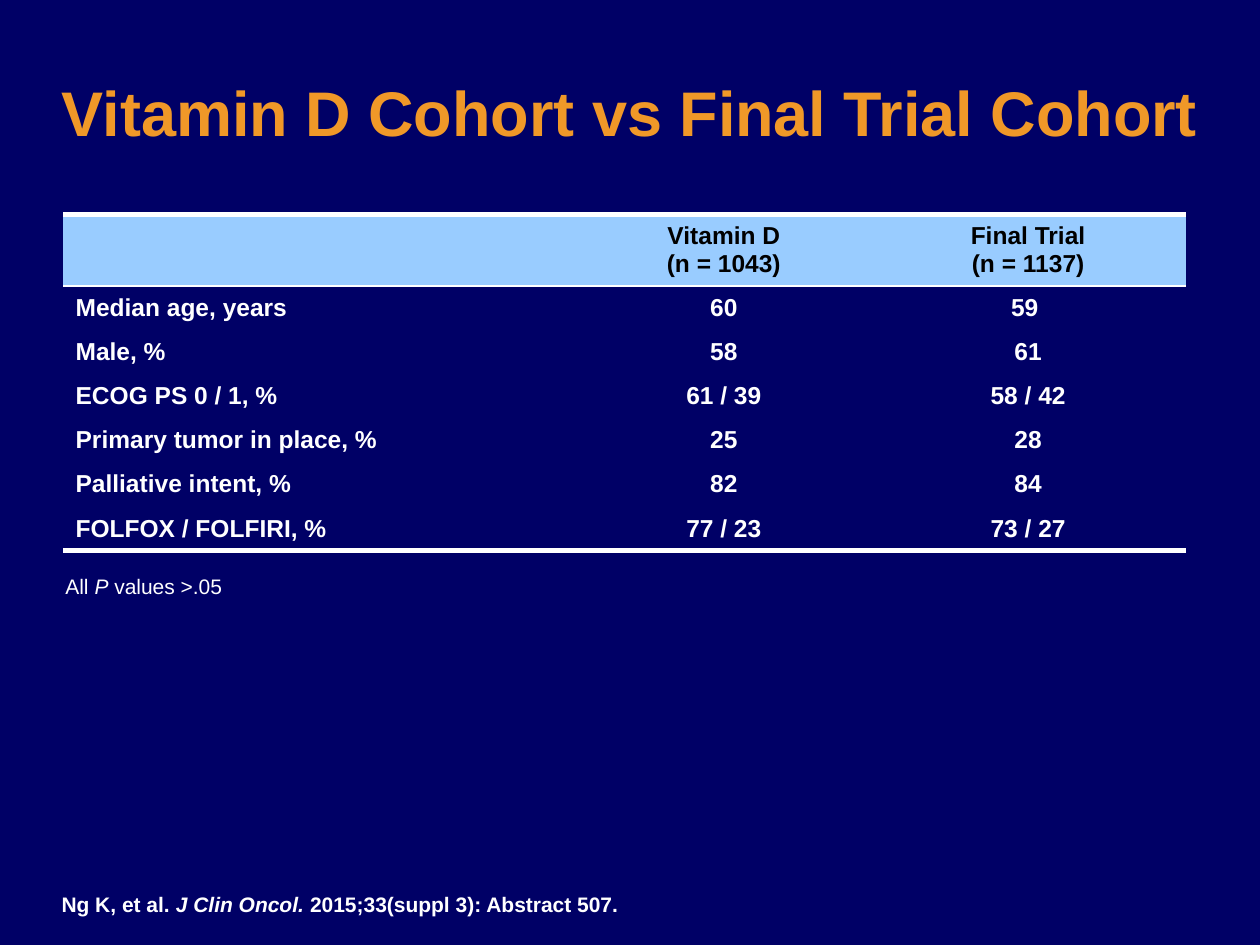
"""Build a slide comparing the vitamin D cohort with the final trial cohort."""
import pptx
import pptx.util
import pptx.dml.color
import pptx.enum.text
import pptx.oxml
import pptx.oxml.ns
import lxml.etree

Inches = pptx.util.Inches
ALIGN = pptx.enum.text.PP_ALIGN
MIDDLE = pptx.enum.text.MSO_ANCHOR.MIDDLE

COLORS = {"navy": "000066", "orange": "F09828", "sky": "99CCFF",
          "white": "FFFFFF", "black": "000000"}
TITLE = "Vitamin D Cohort vs Final Trial Cohort"
ROWS = [
    ["", "Vitamin D\n(n = 1043)", "Final Trial\n(n = 1137)"],
    ["Median age, years", "60", "59 "],
    ["Male, %", "58", "61"],
    ["ECOG PS 0 / 1, %", "61 / 39", "58 / 42"],
    ["Primary tumor in place, %", "25", "28"],
    ["Palliative intent, %", "82", "84"],
    ["FOLFOX / FOLFIRI, %", "77 / 23", "73 / 27"],
]
COLUMN_WIDTHS = [4.08, 2.33, 2.5]
HEADER_HEIGHT, BODY_HEIGHT = 0.57, 0.35
NOTES = [
    ((0.42, 4.5, 2.42, 0.3), False,
     [("All ", False), ("P", True), (" values >.05", False)]),
    ((0.39, 7.03, 5.33, 0.3), True,
     [("Ng K, et al. ", False), ("J Clin Oncol. ", True),
      ("2015;33(suppl 3): Abstract 507.", False)]),
]


def rgb(name):
    return pptx.dml.color.RGBColor.from_string(COLORS[name])


def write(frame, paragraphs, size=12, color="white", bold=False,
          align=ALIGN.LEFT, spacing=None):
    for index, runs in enumerate(paragraphs):
        paragraph = frame.paragraphs[0] if index == 0 else frame.add_paragraph()
        paragraph.alignment = align
        paragraph.line_spacing = spacing
        for text, italic in runs:
            run = paragraph.add_run()
            run.text = text
            run.font.name = "Arial"
            run.font.size = pptx.util.Pt(size)
            run.font.bold = bold
            run.font.italic = italic
            run.font.color.rgb = rgb(color)


def add_text_shadow(run):
    properties = run.font.fill._xPr
    effects = pptx.oxml.parse_xml(
        f'<a:effectLst {pptx.oxml.ns.nsdecls("a")}>'
        '<a:outerShdw dist="38100" dir="2700000" algn="tl">'
        f'<a:srgbClr val="{COLORS["black"]}"/></a:outerShdw></a:effectLst>')
    properties.find(pptx.oxml.ns.qn("a:solidFill")).addnext(effects)


def set_borders(cell, top, bottom):
    properties = cell._tc.get_or_add_tcPr()
    for side, width in zip("LRTB", (0, 0, top, bottom)):
        line = lxml.etree.SubElement(properties, pptx.oxml.ns.qn(f"a:ln{side}"))
        line.set("w", str(pptx.util.Pt(width)))
        if width:
            fill = lxml.etree.SubElement(line, pptx.oxml.ns.qn("a:solidFill"))
            lxml.etree.SubElement(fill, pptx.oxml.ns.qn("a:srgbClr"), val=COLORS["white"])
        else:
            lxml.etree.SubElement(line, pptx.oxml.ns.qn("a:noFill"))


def add_cohort_table(slide):
    heights = [HEADER_HEIGHT] + [BODY_HEIGHT] * (len(ROWS) - 1)
    cohorts = slide.shapes.add_table(
        len(ROWS), len(COLUMN_WIDTHS), Inches(0.5), Inches(1.7),
        Inches(sum(COLUMN_WIDTHS)), Inches(sum(heights))).table
    cohorts.horz_banding = False
    for column, width in zip(cohorts.columns, COLUMN_WIDTHS):
        column.width = Inches(width)
    rules = [3, 1] + [0] * (len(ROWS) - 2) + [3]
    for r, values in enumerate(ROWS):
        cohorts.rows[r].height = Inches(heights[r])
        for c, value in enumerate(values):
            cell = cohorts.cell(r, c)
            set_borders(cell, rules[r], rules[r + 1])
            cell.vertical_anchor = MIDDLE
            cell.margin_top = cell.margin_bottom = Inches(0.06)
            if r == 0:
                cell.fill.solid()
                cell.fill.fore_color.rgb = rgb("sky")
            else:
                cell.fill.background()
            if value:
                write(cell.text_frame, [[(line, False)] for line in value.split("\n")],
                      size=14, bold=True, color="white" if r else "black",
                      align=ALIGN.CENTER if c else ALIGN.LEFT)


def main():
    deck = pptx.Presentation()
    deck.slide_width, deck.slide_height = Inches(10), Inches(7.5)
    slide = deck.slides.add_slide(deck.slide_layouts[5])
    slide.background.fill.solid()
    slide.background.fill.fore_color.rgb = rgb("navy")

    title = slide.shapes.title
    title.left, title.top, title.width, title.height = map(Inches, (0.25, 0.42, 9.5, 1))
    title.text_frame.vertical_anchor = MIDDLE
    write(title.text_frame, [[(TITLE, False)]], size=36, color="orange",
          bold=True, align=ALIGN.CENTER, spacing=0.9)
    add_text_shadow(title.text_frame.paragraphs[0].runs[0])

    add_cohort_table(slide)
    for place, bold, runs in NOTES:
        note = slide.shapes.add_textbox(*map(Inches, place)).text_frame
        note.word_wrap = True
        note.auto_size = pptx.enum.text.MSO_AUTO_SIZE.SHAPE_TO_FIT_TEXT
        write(note, [runs], bold=bold)
    deck.save("out.pptx")


if __name__ == "__main__":
    main()
